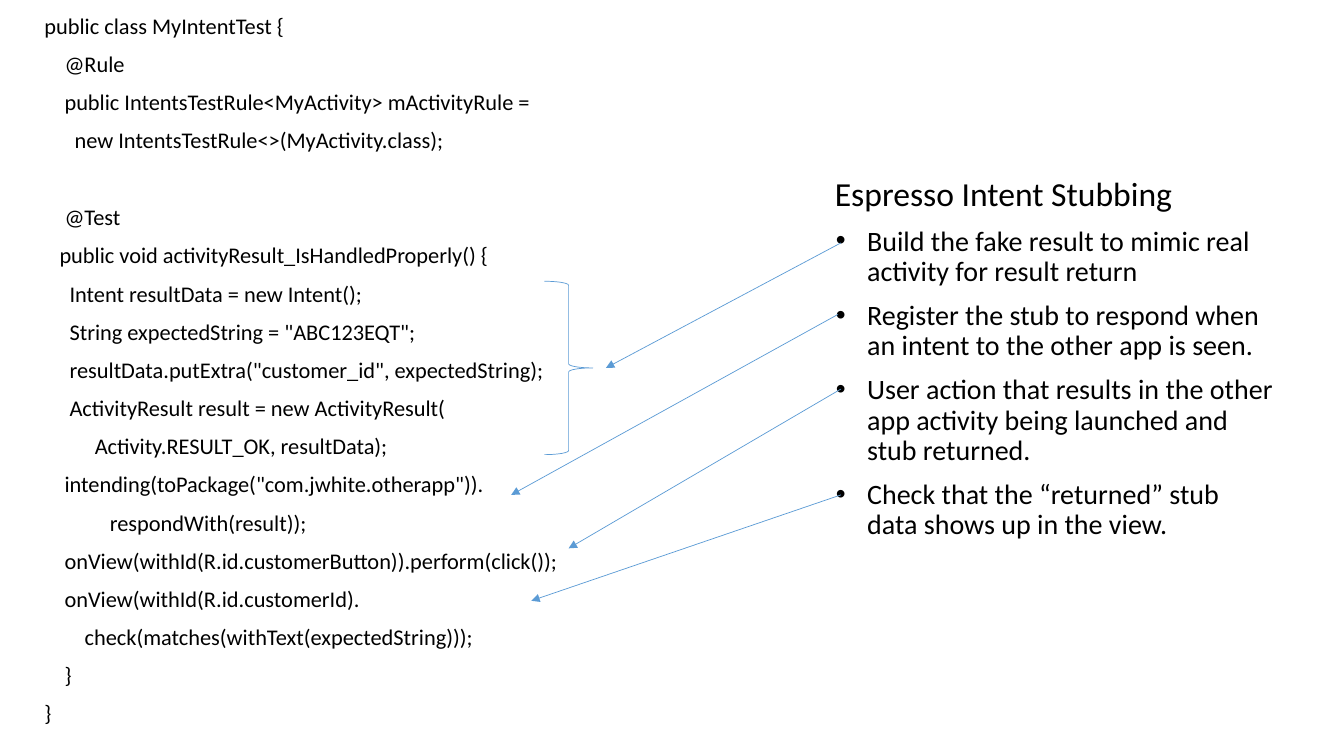
from lxml.etree import SubElement
from pptx import Presentation
from pptx.dml.color import RGBColor
from pptx.enum.shapes import MSO_CONNECTOR as Connector, MSO_SHAPE as Shape
from pptx.enum.text import MSO_ANCHOR as Anchor, MSO_AUTO_SIZE as AutoSize, PP_ALIGN as Align
from pptx.oxml.ns import qn
from pptx.util import Inches, Pt

BLACK = RGBColor(0x00, 0x00, 0x00)
WHITE = RGBColor(0xFF, 0xFF, 0xFF)
BLUE = RGBColor(0x5B, 0x9B, 0xD5)

CODE_MARGIN = 0.12
SPACE_WIDTH = 0.05
LINE_GAP = 10
BLOCK_GAP = 37.5

CODE_LINES = [
    (0, "public class MyIntentTest {"),
    (4, "@Rule"),
    (4, "public IntentsTestRule<MyActivity> mActivityRule ="),
    (6, "new IntentsTestRule<>(MyActivity.class);"),
    (4, "@Test"),
    (3, "public void activityResult_IsHandledProperly() {"),
    (5, "Intent resultData = new Intent();"),
    (5, 'String expectedString = "ABC123EQT";'),
    (5, 'resultData.putExtra("customer_id", expectedString);'),
    (5, "ActivityResult result = new ActivityResult("),
    (10, "Activity.RESULT_OK, resultData);"),
    (4, 'intending(toPackage("com.jwhite.otherapp")).'),
    (13, "respondWith(result));"),
    (4, "onView(withId(R.id.customerButton)).perform(click());"),
    (4, "onView(withId(R.id.customerId)."),
    (8, "check(matches(withText(expectedString)));"),
    (4, "}"),
    (0, "}"),
]

STEPS = [
    "Build the fake result to mimic real activity for result return",
    "Register the stub to respond when an intent to the other app is seen.",
    "User action that results in the other app activity being launched and stub returned.",
    "Check that the “returned” stub data shows up in the view.",
]

STEP_ARROWS = [
    ((8.34, 2.41), (6.01, 3.65)),
    ((8.31, 3.12), (5.07, 4.91)),
    ((8.34, 3.86), (5.64, 5.44)),
    ((8.34, 4.91), (5.27, 5.96)),
]


def write(paragraph, text, *, size, font="Calibri", color=BLACK, before=0,
          margin=0, hanging=0, bullet=None):
    """Fill a paragraph with text in the given format."""
    run = paragraph.add_run()
    run.text = text
    run.font.name = font
    run.font.size = Pt(size)
    run.font.color.rgb = color
    paragraph.alignment = Align.LEFT
    paragraph.line_spacing = 0.9
    paragraph.space_before = Pt(before)
    properties = paragraph._p.get_or_add_pPr()
    properties.set("marL", str(Inches(margin)))
    properties.set("indent", str(Inches(-hanging)))
    if bullet:
        SubElement(properties, qn("a:buFont"), typeface="Arial")
        SubElement(properties, qn("a:buChar"), char=bullet)
    else:
        SubElement(properties, qn("a:buNone"))


class CodeSlide:
    """Hold the line style and the slide under construction."""

    def __init__(self, deck):
        """Add a slide with a title and two bodies."""
        self.slide = deck.slides.add_slide(deck.slide_layouts[3])
        self.line_color = BLUE
        self.line_width = Pt(0.5)

    def place(self, index, left, top, width, height, anchor=Anchor.TOP):
        """Move a placeholder and return it."""
        holder = self.slide.placeholders[index]
        holder.left, holder.top = Inches(left), Inches(top)
        holder.width, holder.height = Inches(width), Inches(height)
        holder.text_frame.word_wrap = True
        holder.text_frame.auto_size = AutoSize.NONE
        holder.text_frame.vertical_anchor = anchor
        return holder

    def title(self, text, *box):
        """Write the slide title."""
        heading = self.place(0, *box, anchor=Anchor.BOTTOM)
        write(heading.text_frame.paragraphs[0], text, size=24)

    def code(self, lines, *box):
        """Write the listing, one paragraph for each line."""
        frame = self.place(1, *box).text_frame
        for number, (depth, text) in enumerate(lines):
            paragraph = frame.add_paragraph() if number else frame.paragraphs[0]
            write(paragraph, text, size=16,
                  before=BLOCK_GAP if text == "@Test" else LINE_GAP,
                  margin=CODE_MARGIN + depth * SPACE_WIDTH)

    def bullets(self, items, *box):
        """Write the bulleted explanation."""
        explanation = self.place(2, *box)
        explanation.fill.solid()
        explanation.fill.fore_color.rgb = WHITE
        frame = explanation.text_frame
        for number, text in enumerate(items):
            paragraph = frame.add_paragraph() if number else frame.paragraphs[0]
            write(paragraph, text, size=20, before=LINE_GAP,
                  margin=0.32, hanging=0.31, bullet="•")

    def outline(self, line):
        """Apply the line style."""
        line.color.rgb = self.line_color
        line.width = self.line_width

    def brace(self, *box):
        """Draw a right brace."""
        brace = self.slide.shapes.add_shape(Shape.RIGHT_BRACE, *map(Inches, box))
        brace.shadow.inherit = False
        brace.fill.background()
        self.outline(brace.line)

    def arrow(self, start, end):
        """Draw an arrow that points at its end."""
        arrow = self.slide.shapes.add_connector(
            Connector.STRAIGHT, *map(Inches, start + end))
        self.outline(arrow.line)
        SubElement(arrow.line._get_or_add_ln(), qn("a:tailEnd"), type="triangle")
        SubElement(arrow._element.spPr, qn("a:effectLst"))


def main():
    """Build and save the slide."""
    deck = Presentation()
    deck.slide_width, deck.slide_height = Inches(13.33), Inches(7.5)
    stubbing = CodeSlide(deck)
    stubbing.code(CODE_LINES, 0.22, 0.1, 7.96, 7.1)
    stubbing.bullets(STEPS, 8.18, 2.2, 4.56, 5.01)
    stubbing.title("Espresso Intent Stubbing", 8.18, 1.21, 4.56, 0.96)
    stubbing.brace(5.4, 2.79, 0.48, 1.72)
    for start, end in STEP_ARROWS:
        stubbing.arrow(start, end)
    deck.save("out.pptx")


if __name__ == "__main__":
    main()
